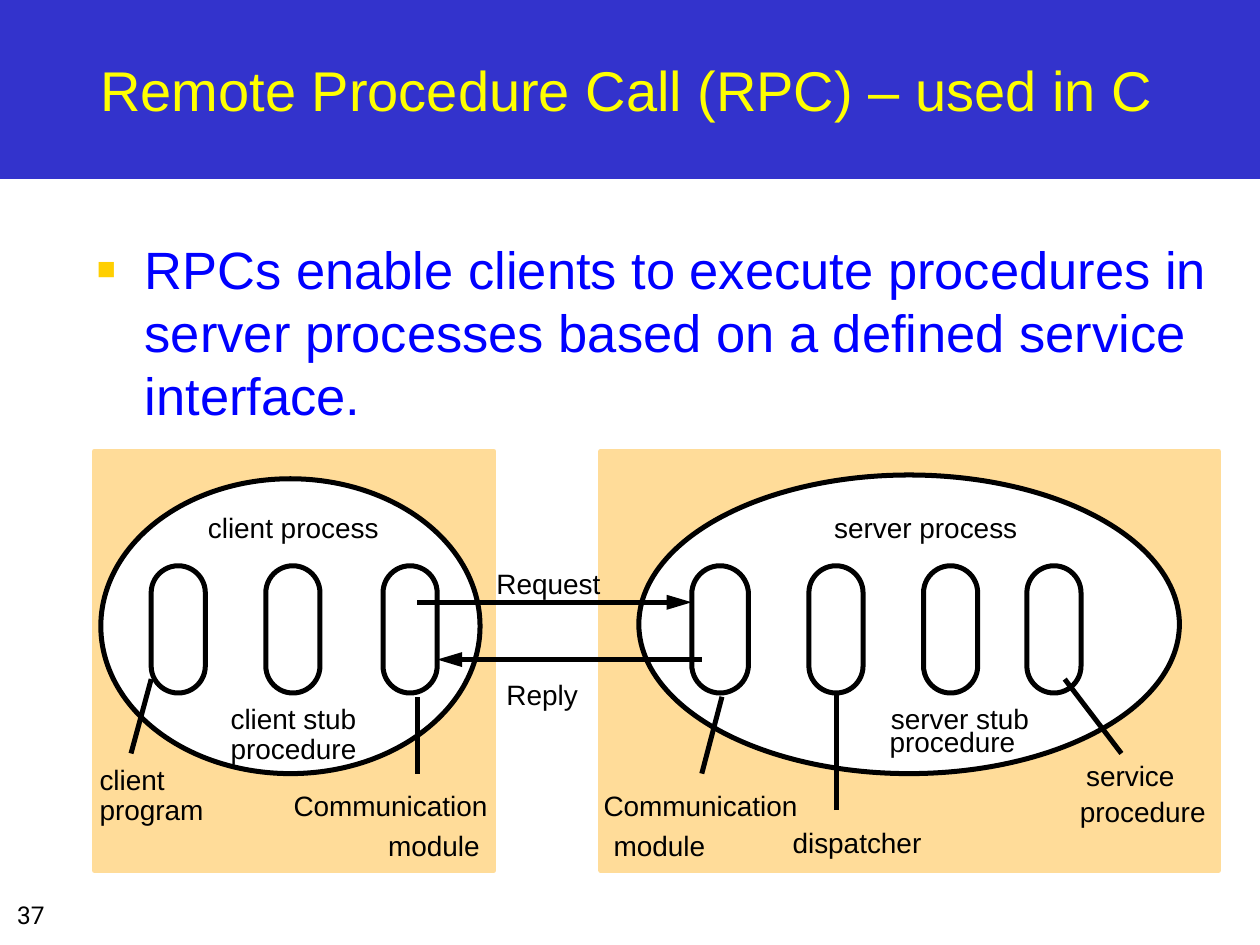
import pptx
import pptx.util
import pptx.dml.color
import pptx.enum.shapes
import pptx.enum.text
import pptx.oxml.ns
from lxml import etree

COLUMNS, ROWS = 100, 75
INK, PAPER, SAND = "000000", "FFFFFF", "FFDC99"
Shapes = pptx.enum.shapes.MSO_SHAPE
Align = pptx.enum.text.PP_ALIGN
Anchor = pptx.enum.text.MSO_ANCHOR


def color(value):
    return pptx.dml.color.RGBColor.from_string(value)


def add_xml(parent, tag, **attributes):
    return etree.SubElement(parent, pptx.oxml.ns.qn(tag), attributes)


class Diagram:
    """Draws styled elements on one slide, placed by grid columns and rows."""

    font = "Arial"
    stroke = 2.86
    label_size = 16

    def __init__(self, deck):
        self.slide = deck.slides.add_slide(deck.slide_layouts[6])
        self.column = deck.slide_width / COLUMNS
        self.row = deck.slide_height / ROWS

    def place(self, *grid):
        units = (self.column, self.row) * 2
        return [round(value * unit) for value, unit in zip(grid, units)]

    def shape(self, kind, box, fill=None, line=None):
        shape = self.slide.shapes.add_shape(kind, *self.place(*box))
        shape.shadow.inherit = False
        if fill:
            shape.fill.solid()
            shape.fill.fore_color.rgb = color(fill)
        else:
            shape.fill.background()
        if line:
            shape.line.color.rgb = color(line)
            shape.line.width = pptx.util.Pt(self.stroke)
        else:
            shape.line.fill.background()
        return shape

    def pill(self, left, width=4.3):
        pill = self.shape(Shapes.ROUNDED_RECTANGLE, (left, 44.9, width, 10.1), line=INK)
        pill.adjustments[0] = 0.5

    def line(self, start, end, arrow=False):
        connector = self.slide.shapes.add_connector(
            pptx.enum.shapes.MSO_CONNECTOR.STRAIGHT, *self.place(*start, *end))
        connector.line.color.rgb = color(INK)
        connector.line.width = pptx.util.Pt(self.stroke)
        if arrow:
            add_xml(connector.line._get_or_add_ln(), "a:tailEnd",
                    type="triangle", w="med", len="lg")
        add_xml(connector._element.spPr, "a:effectLst")

    def text(self, words, box, size, ink=INK, font=None, align=Align.LEFT,
             anchor=Anchor.TOP, inset=0.1, wrap=True, bullet=None):
        frame = self.slide.shapes.add_textbox(*self.place(*box)).text_frame
        frame.word_wrap = wrap
        frame.vertical_anchor = anchor
        frame.margin_left = frame.margin_right = pptx.util.Inches(inset)
        frame.margin_top = frame.margin_bottom = pptx.util.Inches(inset / 2)
        frame.text = words
        paragraph = frame.paragraphs[0]
        paragraph.alignment = align
        if bullet:
            self.bullet(paragraph, bullet)
        run_font = paragraph.runs[0].font
        run_font.name = font or self.font
        run_font.size = pptx.util.Pt(size)
        run_font.color.rgb = color(ink)

    def bullet(self, paragraph, ink):
        properties = paragraph._p.get_or_add_pPr()
        indent = pptx.util.Inches(0.38)
        properties.set("marL", str(indent))
        properties.set("indent", str(-indent))
        add_xml(add_xml(properties, "a:buClr"), "a:srgbClr", val=ink)
        add_xml(properties, "a:buSzPct", val="60000")
        add_xml(properties, "a:buFont", typeface=self.font)
        add_xml(properties, "a:buChar", char="■")

    def label(self, words, left, top, width):
        self.text(words, (left, top, width, 2.7), self.label_size, inset=0, wrap=False)


def main():
    deck = pptx.Presentation()
    deck.slide_width = pptx.util.Inches(10)
    deck.slide_height = pptx.util.Inches(7.5)
    rpc = Diagram(deck)

    rpc.shape(Shapes.RECTANGLE, (0, 0, COLUMNS, 14.2), fill="3333CC")
    rpc.text("37", (0, 70.9, 4.9, 3.7), 14, font="Roboto", align=Align.CENTER, wrap=False)
    rpc.text("Remote Procedure Call (RPC) – used in C", (1.7, 1.7, 96.1, 10.8), 32,
             ink="FFFF00", align=Align.CENTER, anchor=Anchor.MIDDLE)
    rpc.text("RPCs enable clients to execute procedures in server processes "
             "based on a defined service interface.",
             (6.7, 18.3, 90.8, 16), 30, ink="0000FF", bullet="FFCF01")

    for left, width in ((7.5, 31.7), (47.7, 49)):
        rpc.shape(Shapes.RECTANGLE, (left, 35.8, width, 33.3), fill=SAND, line=SAND)
    for process in ((50.7, 37.7, 42.9, 23.7), (8, 38, 30.1, 23.4)):
        rpc.shape(Shapes.OVAL, process, fill=PAPER, line=INK)

    for procedure_left in (12, 21.1, 30.4, 64.2, 73.3, 81.5):
        rpc.pill(procedure_left)
    rpc.pill(54.9, width=4.5)

    request = ((33.1, 47.8), (54.9, 47.8))
    reply = ((55.7, 52.35), (34.7, 52.35))
    for message in (request, reply):
        rpc.line(*message, arrow=True)

    pointers = (
        ((10.4, 59.8), (12, 53.9)),
        ((33.1, 61.4), (33.1, 55.3)),
        ((55.7, 61.4), (57.3, 55.3)),
        ((66.4, 64.3), (66.4, 55)),
        ((89, 59.8), (84.5, 53.9)),
    )
    for pointer in pointers:
        rpc.line(*pointer)

    labels = (
        ("client process", 16.5, 40.5, 14.2),
        ("server process", 66.2, 40.5, 15.2),
        ("Request", 39.4, 45, 8.6),
        ("Reply", 40.2, 53.8, 6),
        ("client stub", 18.3, 55.7, 10.5),
        ("procedure", 18.3, 58.1, 10.5),
        ("server stub", 70.7, 55.7, 11.5),
        ("procedure", 70.6, 57.5, 10.5),
        ("client", 7.9, 60.5, 5.8),
        ("program", 7.9, 62.9, 8.9),
        ("Communication", 23.3, 62.6, 16),
        ("module", 30.8, 65.8, 7.6),
        ("Communication", 47.9, 62.6, 16),
        ("module", 48.7, 65.8, 7.6),
        ("dispatcher", 62.9, 65.5, 11.5),
        ("service", 86.2, 60.2, 7.6),
        ("procedure", 85.7, 63.1, 10.5),
    )
    for label in labels:
        rpc.label(*label)

    deck.save("out.pptx")


if __name__ == "__main__":
    main()
